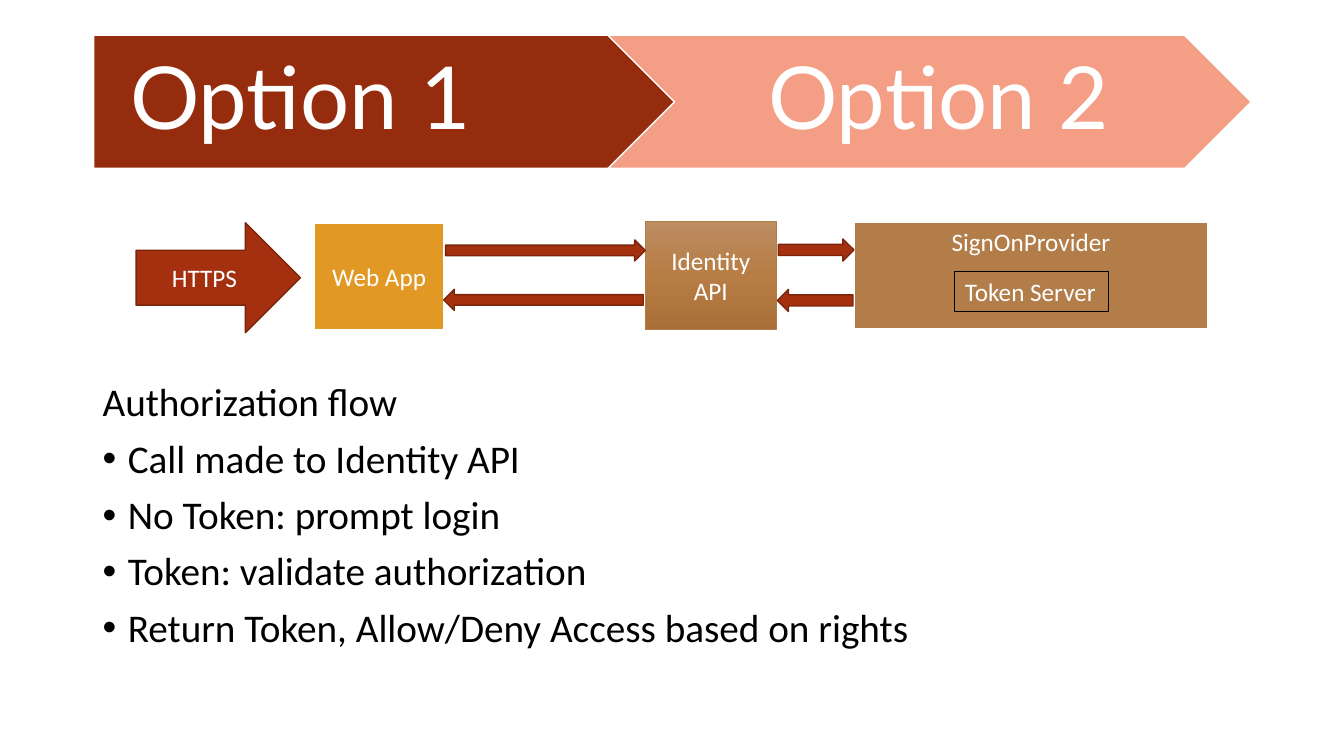
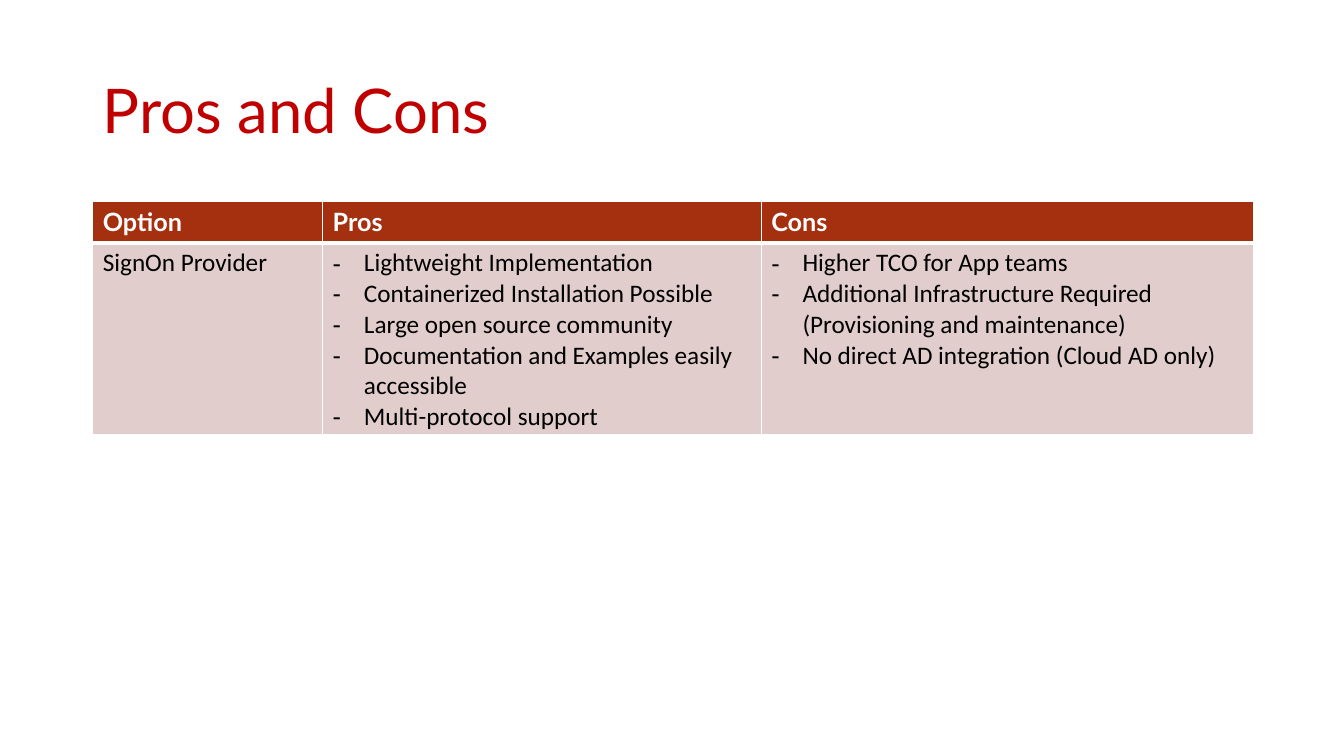
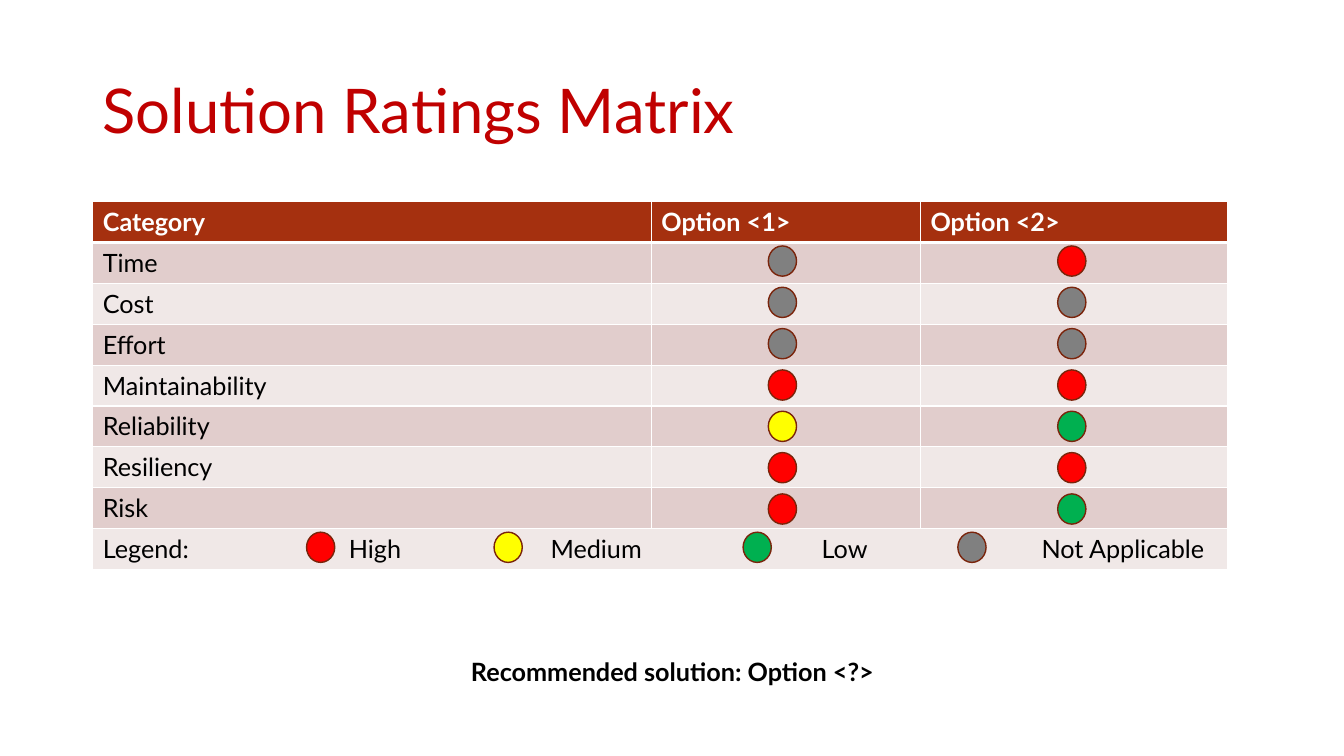
import copy

import lxml.etree
import pptx
import pptx.dml.color
import pptx.enum.shapes
import pptx.enum.text
import pptx.oxml.ns
import pptx.util

Inches = pptx.util.Inches
Pt = pptx.util.Pt
qn = pptx.oxml.ns.qn
SHAPE = pptx.enum.shapes.MSO_SHAPE
ALIGN = pptx.enum.text.PP_ALIGN
ANCHOR = pptx.enum.text.MSO_ANCHOR

WHITE, BLACK = "FFFFFF", "000000"
RUST, DARK_RUST, TITLE_RED = "A5300F", "7A240B", "C00000"
BROWN, AMBER = "B27D49", "E19825"
BANDS = ["E1CDCC", "F0E8E7"]
RATINGS = {"High": "FF0000", "Medium": "FFFF00", "Low": "00B050",
           "Not Applicable": "808080"}
HEADING_FONT, BODY_FONT = "Lato", "Calibri"
LEFT, FULL_WIDTH = 0.92, 11.5
TABLE_TOP, ROW_PITCH = 2, 0.41


def rgb(value):
    """Turn a hex string into a colour."""
    return pptx.dml.color.RGBColor.from_string(value)


def style_text(frame, size=18, color=BLACK, font=BODY_FONT, bold=False,
               align=ALIGN.LEFT, line_spacing=None):
    """Format every paragraph and run of a text frame."""
    for para in frame.paragraphs:
        para.alignment = align
        if line_spacing:
            para.line_spacing = line_spacing
        for span in para.runs:
            span.font.size = Pt(size)
            span.font.name = font
            span.font.bold = bold
            span.font.color.rgb = rgb(color)


def add_bullet(para, mark, indent):
    """Give a paragraph a bullet mark with a hanging indent."""
    props = para._p.get_or_add_pPr()
    props.set("marL", str(Inches(indent)))
    props.set("indent", str(-Inches(indent)))
    lxml.etree.SubElement(props, qn("a:buFont")).set("typeface", "Arial")
    lxml.etree.SubElement(props, qn("a:buChar")).set("char", mark)


def add_tab_stops(para, stops):
    """Set left tab stops, in inches from the start of the text."""
    tabs = lxml.etree.SubElement(para._p.get_or_add_pPr(), qn("a:tabLst"))
    for stop in stops:
        tab = lxml.etree.SubElement(tabs, qn("a:tab"))
        tab.set("pos", str(Inches(stop)))
        tab.set("algn", "l")


def add_text(page, at, text, anchor=ANCHOR.TOP, wrap=True, **style):
    """Add a text box and return it."""
    box = page.shapes.add_textbox(*map(Inches, at))
    frame = box.text_frame
    frame.word_wrap = wrap
    frame.vertical_anchor = anchor
    frame.text = text
    style_text(frame, **style)
    return box


def add_title(page, text):
    """Add the slide title."""
    add_text(page, (LEFT, 0.4, FULL_WIDTH, 1.45), text, ANCHOR.MIDDLE,
             size=44, color=TITLE_RED, font=HEADING_FONT, line_spacing=0.9)


def add_shape(page, kind, at, fill, line=DARK_RUST, width=1, text="",
              anchor=ANCHOR.MIDDLE, **style):
    """Add a filled, outlined preset shape with optional text."""
    shape = page.shapes.add_shape(kind, *map(Inches, at))
    shape.shadow.inherit = False
    shape.fill.solid()
    shape.fill.fore_color.rgb = rgb(fill)
    shape.line.color.rgb = rgb(line)
    shape.line.width = Pt(width)
    if text:
        shape.text_frame.text = text
        shape.text_frame.vertical_anchor = anchor
        style_text(shape.text_frame,
                   **{"color": WHITE, "align": ALIGN.CENTER, **style})
    return shape


def add_banner(page, kind, left, fill, text, inset, align):
    """Add one large arrow of the option banner."""
    banner = add_shape(page, kind, (left, 0.35, 6.38, 1.32), fill, WHITE,
                       text=text, size=62, font=HEADING_FONT, align=align,
                       line_spacing=0.9)
    frame = banner.text_frame
    frame.margin_left, frame.margin_right = Inches(inset), Inches(0.09)
    frame.margin_top = frame.margin_bottom = Inches(0.18)


def fill_downwards(shape, colors):
    """Fill a shape with evenly spaced colours from top to bottom."""
    shape.fill.gradient()
    shape.fill.gradient_angle = 270
    stop_list = shape._element.spPr.find(".//" + qn("a:gsLst"))
    while len(stop_list) < len(colors):
        stop_list.insert(1, copy.deepcopy(stop_list[0]))
    for index, color in enumerate(colors):
        stop_list[index].set("pos", str(100000 * index // (len(colors) - 1)))
        shape.fill.gradient_stops[index].color.rgb = rgb(color)


def add_borders(cell, bottom):
    """Draw white cell borders, with a bottom width in points."""
    props = cell._tc.get_or_add_tcPr()
    for side, width in (("L", 1), ("R", 1), ("T", 1), ("B", bottom)):
        line = lxml.etree.SubElement(props, qn("a:ln" + side))
        line.set("w", str(Pt(width)))
        fill = lxml.etree.SubElement(line, qn("a:solidFill"))
        lxml.etree.SubElement(fill, qn("a:srgbClr")).set("val", WHITE)


def add_table(page, rows, widths, height, body_font):
    """Add a banded table; a list as cell content becomes dashed lines."""
    frame = page.shapes.add_table(
        len(rows), len(widths), Inches(LEFT), Inches(TABLE_TOP),
        Inches(sum(widths)), Inches(height))
    table = frame.table
    for column, width in zip(table.columns, widths):
        column.width = Inches(width)
    for row_index, row in enumerate(rows):
        header = row_index == 0
        for column_index, content in enumerate(row):
            cell = table.cell(row_index, column_index)
            add_borders(cell, 3 if header else 1)
            cell.fill.solid()
            cell.fill.fore_color.rgb = rgb(
                RUST if header else BANDS[(row_index - 1) % 2])
            dashed = isinstance(content, list)
            cell.text_frame.text = "\n".join(content) if dashed else content
            style_text(cell.text_frame, color=WHITE if header else BLACK,
                       font=HEADING_FONT if header else body_font,
                       bold=header)
            if dashed:
                for para in cell.text_frame.paragraphs:
                    add_bullet(para, "-", 0.31)
    return table


def add_rating(page, left, top, rating):
    """Add a rating dot."""
    add_shape(page, SHAPE.OVAL, (left, top, 0.28, 0.3), RATINGS[rating])


def build_flow(page):
    """Show the options banner, the call chain and its steps."""
    add_banner(page, SHAPE.PENTAGON, 0.93, "962C0E", "Option 1", 0.36,
               ALIGN.LEFT)
    add_banner(page, SHAPE.CHEVRON, 6.03, "F49E86", "Option 2", 0.27,
               ALIGN.CENTER)

    steps = ["Authorization flow", "Call made to Identity API",
             "No Token: prompt login", "Token: validate authorization",
             "Return Token, Allow/Deny Access based on rights"]
    body = add_text(page, (LEFT, 3.75, FULL_WIDTH, 3.01), "\n".join(steps),
                    size=28, line_spacing=0.9)
    for index, para in enumerate(body.text_frame.paragraphs):
        para.space_before = Pt(10)
        if index:
            add_bullet(para, "\u2022", 0.25)

    add_shape(page, SHAPE.RECTANGLE, (8.47, 2.2, 3.51, 1.07), BROWN, WHITE,
              1.5, "SignOnProvider", ANCHOR.TOP)
    api = add_shape(page, SHAPE.RECTANGLE, (6.4, 2.2, 1.3, 1.07), BROWN,
                    BROWN, 0.5, "Identity API")
    fill_downwards(api, ["BC8C63", "B77D44", "A86F38"])
    add_shape(page, SHAPE.RECTANGLE, (3.11, 2.21, 1.3, 1.07), AMBER, WHITE,
              1.5, "Web App")
    add_shape(page, SHAPE.RIGHT_ARROW, (1.35, 2.21, 1.63, 1.09), RUST,
              text="HTTPS")
    for left, top, width, height, turn in (
            (4.42, 2.38, 1.98, 0.21, 0), (7.72, 2.37, 0.75, 0.22, 0),
            (4.4, 2.87, 1.98, 0.21, 180), (7.71, 2.87, 0.75, 0.22, 180)):
        arrow = add_shape(page, SHAPE.RIGHT_ARROW,
                          (left, top, width, height), RUST)
        arrow.rotation = turn
    token = add_text(page, (9.47, 2.69, 1.52, 0.4), "Token Server",
                     wrap=False, color=WHITE)
    token.line.color.rgb = rgb(BLACK)
    token.line.width = Pt(0.75)


def build_pros_and_cons(page):
    """Show the pros and cons table."""
    add_title(page, "Pros and Cons")
    pros = ["Lightweight Implementation", "Containerized Installation Possible",
            "Large open source community",
            "Documentation and Examples easily accessible",
            "Multi-protocol support"]
    cons = ["Higher TCO for App teams",
            "Additional Infrastructure Required (Provisioning and maintenance)",
            "No direct AD integration (Cloud AD only)"]
    add_table(page, [["Option", "Pros", "Cons"],
                     ["SignOn Provider", pros, cons]],
              [2.28, 4.35, 4.88], 2 * ROW_PITCH, BODY_FONT)


def build_ratings(page):
    """Show the ratings matrix, its legend and the recommendation."""
    add_title(page, "Solution Ratings Matrix")
    scores = {"Time": ("Not Applicable", "High"),
              "Cost": ("Not Applicable", "Not Applicable"),
              "Effort": ("Not Applicable", "Not Applicable"),
              "Maintainability": ("High", "High"),
              "Reliability": ("Medium", "Low"),
              "Resiliency": ("High", "High"),
              "Risk": ("High", "Low")}
    legend = "\t".join(["Legend:", *RATINGS])
    rows = [["Category", "Option <1>", "Option <2>"],
            *([category, "", ""] for category in scores),
            [legend, "", ""]]
    table = add_table(page, rows, [5.54, 2.67, 3.05], 3.65, HEADING_FONT)
    last = len(rows) - 1
    table.cell(last, 0).merge(table.cell(last, 2))
    add_tab_stops(table.cell(last, 0).text_frame.paragraphs[0],
                  [2.44, 4.44, 7.13, 9.31])

    for index, pair in enumerate(scores.values()):
        for left, rating in zip((7.62, 10.49), pair):
            add_rating(page, left, 2.44 + index * ROW_PITCH, rating)
    for left, rating in zip((3.04, 4.9, 7.37, 9.5), RATINGS):
        add_rating(page, left, 5.28, rating)
    add_text(page, (LEFT, 6.46, FULL_WIDTH, 0.4),
             "Recommended solution: Option <?>", font=HEADING_FONT,
             bold=True, align=ALIGN.CENTER)


def main():
    """Build the deck and save it."""
    deck = pptx.Presentation()
    deck.slide_width, deck.slide_height = Inches(13.33), Inches(7.5)
    for build in (build_flow, build_pros_and_cons, build_ratings):
        build(deck.slides.add_slide(deck.slide_layouts[6]))
    deck.save("out.pptx")


main()
